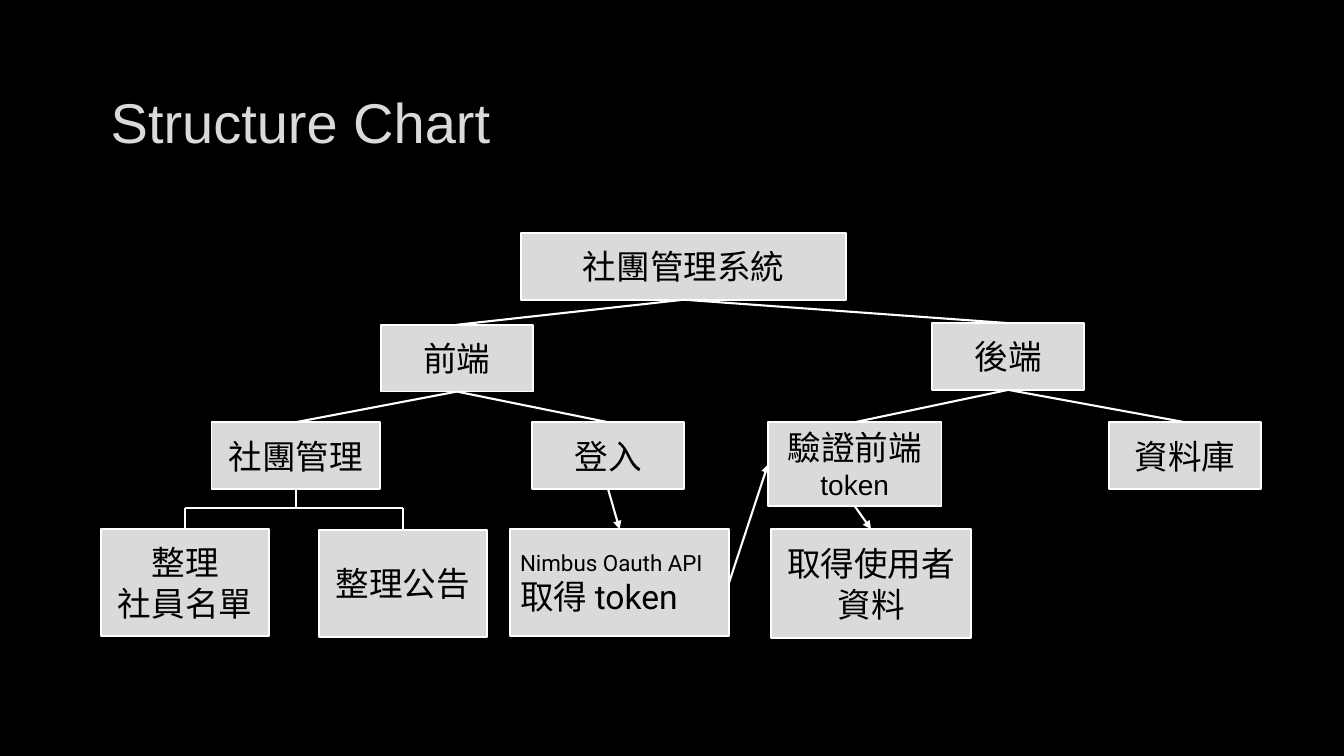
from lxml import etree
from pptx import Presentation
from pptx import util as u
from pptx.dml.color import RGBColor
from pptx.enum import shapes, text
from pptx.oxml.ns import qn

TOP, LEFT, BOTTOM, RIGHT = range(4)  # connection sites of a rectangle


def rgb(code):
    return RGBColor.from_string(code)


class Chart:
    ink, pale, line = "000000", "DADADA", "FFFFFF"

    def __init__(self, slide):
        self.slide = slide
        fill = slide.background.fill
        fill.solid()
        fill.fore_color.rgb = rgb(self.ink)

    def label(self, shape, paras, color, align, font):
        """Fill a shape with paragraphs, each a list of (text, size) runs."""
        frame = shape.text_frame
        frame.word_wrap = True
        frame.vertical_anchor = text.MSO_ANCHOR.MIDDLE
        for i, runs in enumerate(paras):
            para = frame.add_paragraph() if i else frame.paragraphs[0]
            para.alignment = align
            para.font.name = font
            para.font.color.rgb = rgb(color)
            para.font.size = u.Pt(runs[0][1])
            for words, size in runs:
                run = para.add_run()
                run.text = words
                if size != runs[0][1]:
                    run.font.size = u.Pt(size)

    def title(self, words, *area):
        box = self.slide.shapes.add_textbox(*map(u.Pt, area))
        self.label(box, [[(words, 40)]], self.pale, text.PP_ALIGN.LEFT, "Arial")

    def box(self, area, *paras, align=text.PP_ALIGN.CENTER, font="Roboto"):
        shape = self.slide.shapes.add_shape(
            shapes.MSO_SHAPE.RECTANGLE, *map(u.Pt, area))
        shape.shadow.inherit = False
        shape.fill.solid()
        shape.fill.fore_color.rgb = rgb(self.pale)
        shape.line.color.rgb = rgb(self.line)
        shape.line.width = u.Pt(1.25)
        self.label(shape, paras, self.ink, align, font)
        return shape

    def rule(self, x1, y1, x2, y2):
        link = self.slide.shapes.add_connector(
            shapes.MSO_CONNECTOR.STRAIGHT, *map(u.Pt, (x1, y1, x2, y2)))
        link.line.color.rgb = rgb(self.line)
        link.line.width = u.Pt(1.5)
        etree.SubElement(link._element.spPr, qn("a:effectLst"))
        return link

    def join(self, start, end, out=BOTTOM, into=TOP, arrow=False):
        """Glue a line from one box to another."""
        link = self.rule(0, 0, 0, 0)
        link.begin_connect(start, out)
        link.end_connect(end, into)
        if arrow:
            stroke = link._element.spPr.find(qn("a:ln"))
            etree.SubElement(stroke, qn("a:tailEnd"), type="triangle")


def main():
    deck = Presentation()
    deck.slide_width, deck.slide_height = u.Pt(960), u.Pt(540)
    chart = Chart(deck.slides.add_slide(deck.slide_layouts[6]))
    chart.title("Structure Chart", 72, 48.2, 815, 76.3)

    wide, high, tall = 108.7, 47.7, 76.3
    row, base = 301.6, 378
    root = chart.box((372.4, 166.4, 232, high), [("社團管理系統", 24)])
    front = chart.box((272, 232, wide, high), [("前端", 24)])
    back = chart.box((665.8, 230.8, wide, high), [("後端", 24)])
    club = chart.box((151, row, 120.4, high), [("社團管理", 24)])
    login = chart.box((380, row, wide, high), [("登入", 24)])
    check = chart.box((548.6, row, 124, 60), [("驗證前端", 24), ("token", 20)],
                      font="Arial")
    data = chart.box((792, row, wide, high), [("資料庫", 24)])
    chart.box((72, base, 120.4, tall), [("整理", 24)], [("社員名單", 24)])
    chart.box((227.6, base + 0.6, 120.4, tall), [("整理公告", 24)])
    token = chart.box((364.4, base, 156.4, tall), [("Nimbus Oauth API", 16)],
                      [("取得 token", 24)], align=text.PP_ALIGN.LEFT)
    user = chart.box((550.6, base, 143.2, 77.6), [("取得使用者資料", 24)],
                     font="Arial")

    for start, end in ((root, front), (root, back), (front, club),
                       (front, login), (back, check), (back, data)):
        chart.join(start, end)
    chart.join(login, token, arrow=True)
    chart.join(token, check, RIGHT, LEFT, arrow=True)
    chart.join(check, user, arrow=True)

    # Bus from the club box down to its two tasks
    bus, mid, ends = 363, 211.2, (132.2, 287.8)
    chart.rule(mid, row + high, mid, bus)
    chart.rule(ends[0], bus, ends[1], bus)
    for x in ends:
        chart.rule(x, bus, x, base)

    deck.save("out.pptx")


if __name__ == "__main__":
    main()
